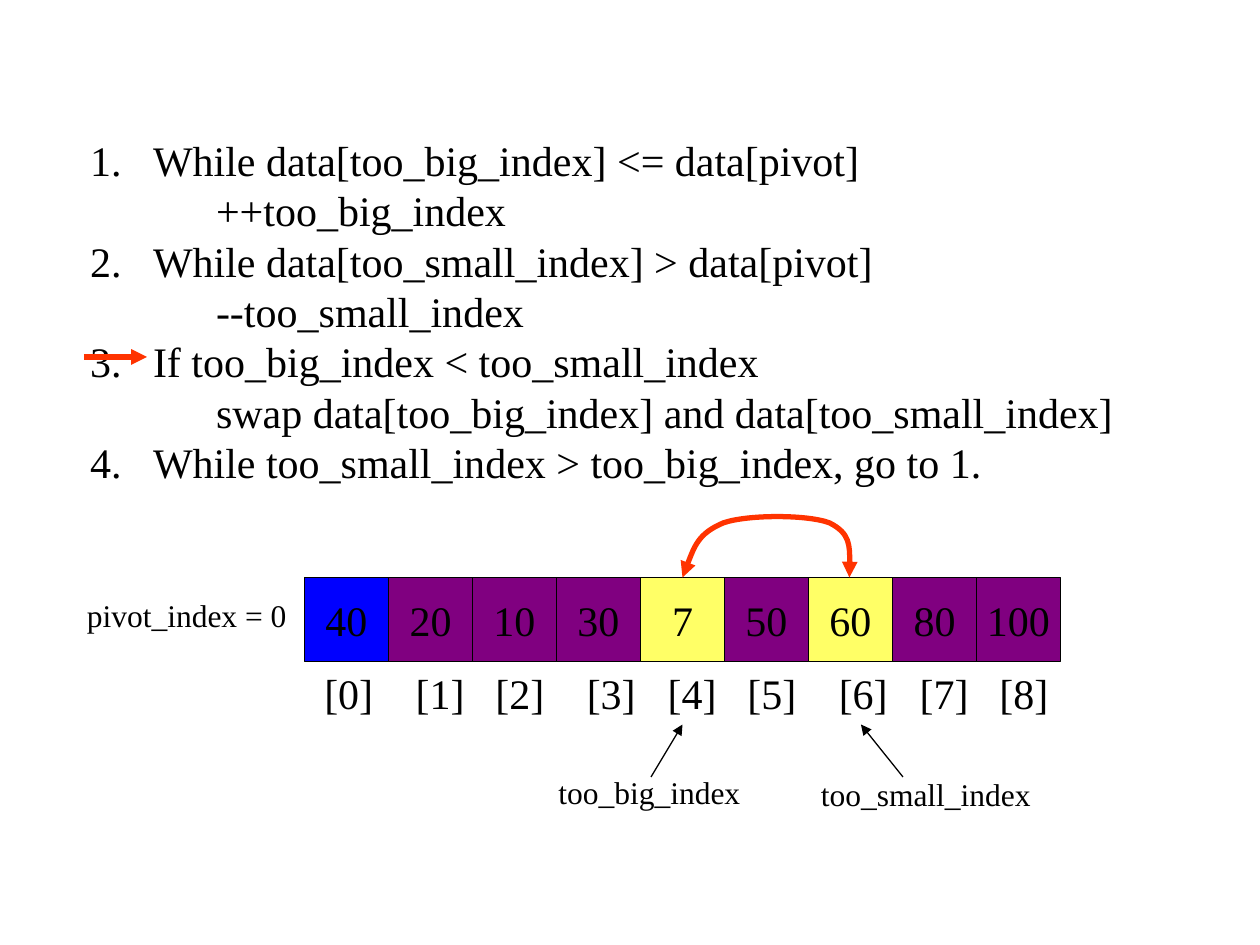
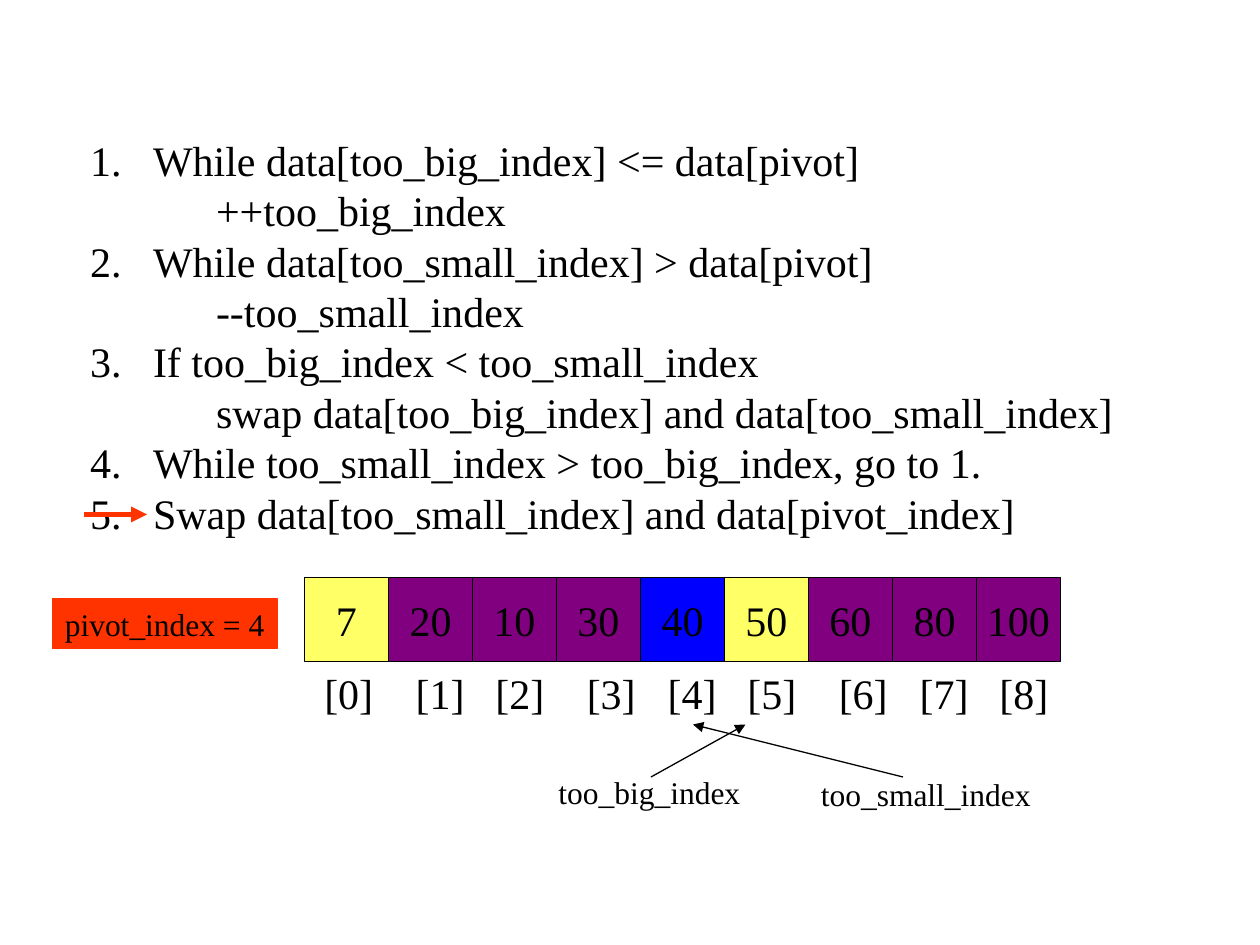
from lxml import etree
from pptx import Presentation
from pptx import util as u
from pptx.dml.color import RGBColor
from pptx.enum import shapes, text
from pptx.oxml import ns

SCALE = 7620  # EMU in one px, 120 px to the inch
BLACK, RED, BLUE = "000000", "FF3300", "0000FF"
PURPLE, YELLOW = "800080", "FFFF66"


def px(n):
    return u.Emu(n * SCALE)


def rgb(code):
    return RGBColor.from_string(code)


def sub(node, tag, **attrs):
    return etree.SubElement(node, ns.qn(tag), attrs)


class Deck:
    font = "Times New Roman"
    big, small = 24, 18

    def __init__(self):
        self.prs = Presentation()
        self.prs.slide_width, self.prs.slide_height = px(1200), px(900)

    def page(self):
        self.slide = self.prs.slides.add_slide(self.prs.slide_layouts[6])

    def run(self, para, words, size):
        run = para.add_run()
        run.text = words
        run.font.name, run.font.size = self.font, u.Pt(size)
        run.font.color.rgb = rgb(BLACK)

    def frame(self, shape, wrap):
        frame = shape.text_frame
        frame.word_wrap = wrap
        frame.auto_size = text.MSO_AUTO_SIZE.NONE
        frame.vertical_anchor = text.MSO_ANCHOR.TOP
        return frame

    def label(self, x, y, w, h, words, size, stops=()):
        box = self.slide.shapes.add_textbox(px(x), px(y), px(w), px(h))
        para = self.frame(box, False).paragraphs[0]
        if stops:
            tabs = sub(para._p.get_or_add_pPr(), "a:tabLst")
            for stop in stops:
                sub(tabs, "a:tab", pos=str(px(stop)), algn="l")
        self.run(para, words, size)

    def steps(self, x, y, w, h, items):
        box = self.slide.shapes.add_textbox(px(x), px(y), px(w), px(h))
        frame = self.frame(box, True)
        for num, lines in enumerate(items, 1):
            for level, words in enumerate(lines):
                first = num == 1 and level == 0
                para = frame.paragraphs[0] if first else frame.add_paragraph()
                para.level = level
                props = para._p.get_or_add_pPr()
                props.set("marL", str(px(120 if level else 60)))
                props.set("indent", str(px(0 if level else -60)))
                if level:
                    sub(props, "a:buNone")
                else:
                    sub(props, "a:buAutoNum", type="arabicPeriod", startAt=str(num))
                self.run(para, words, self.big)

    def rect(self, x, y, w, h, fill, words, size, edge=BLACK, center=True):
        box = self.slide.shapes.add_shape(
            shapes.MSO_SHAPE.RECTANGLE, px(x), px(y), px(w), px(h))
        box.shadow.inherit = False
        box.fill.solid()
        box.fill.fore_color.rgb = rgb(fill)
        self.stroke(box.line, edge, 0.75)
        frame = self.frame(box, False)
        para = frame.paragraphs[0]
        para.alignment = text.PP_ALIGN.LEFT
        if center:
            frame.vertical_anchor = text.MSO_ANCHOR.MIDDLE
            para.alignment = text.PP_ALIGN.CENTER
        self.run(para, words, size)

    def stroke(self, line, color, width, *ends):
        line.color.rgb, line.width = rgb(color), u.Pt(width)
        for end in ends:
            sub(line._get_or_add_ln(), end, type="triangle")

    def arrow(self, start, end, color=BLACK, width=0.75):
        line = self.slide.shapes.add_connector(
            shapes.MSO_CONNECTOR.STRAIGHT, *map(px, start + end))
        self.stroke(line.line, color, width, "a:tailEnd")
        sub(line._element.spPr, "a:effectLst")

    def curve(self, start, points):
        pen = self.slide.shapes.build_freeform(*start, scale=SCALE)
        pen.add_line_segments(points, close=False)
        shape = pen.convert_to_shape()
        shape.shadow.inherit = False
        shape.fill.background()
        self.stroke(shape.line, RED, 3, "a:headEnd", "a:tailEnd")
        # Join each three straight segments into one cubic curve
        legs = list(shape._element.iter(ns.qn("a:lnTo")))
        for i in range(0, len(legs), 3):
            bend = sub(legs[i].getparent(), "a:cubicBezTo")
            for leg in legs[i:i + 3]:
                bend.append(leg[0])
                leg.getparent().remove(leg)


STEPS = [
    ("While data[too_big_index] <= data[pivot]", "++too_big_index"),
    ("While data[too_small_index] > data[pivot]", "--too_small_index"),
    ("If too_big_index < too_small_index",
     "swap data[too_big_index] and data[too_small_index]"),
    ("While too_small_index > too_big_index, go to 1.",),
]
LAST = ("Swap data[too_small_index] and data[pivot_index]",)
STOPS = (87, 163, 250, 327, 403, 490, 567, 643)
LEFT, TOP, CELL = 290, 550, 80


def array(deck, data, pivot, marks):
    for i, value in enumerate(data):
        fill = BLUE if i == pivot else YELLOW if i in marks else PURPLE
        deck.rect(LEFT + i * CELL, TOP, CELL, CELL, fill, str(value), deck.big)
    names = "\t".join(f"[{i}]" for i in range(len(data)))
    deck.label(297, 630, 714, 60, names, deck.big, STOPS)


def marks(deck, large, little, step):
    deck.label(520, 730, 380, 48, "too_big_index", deck.small)
    deck.label(770, 732, 280, 48, "too_small_index", deck.small)
    deck.arrow((860, 740), (little, 690))
    deck.arrow((620, 740), (large, 690))
    deck.arrow((80, step), (140, step), RED, 3)


def main():
    deck = Deck()

    # Step 3: swap the two marked values
    deck.page()
    deck.steps(74, 122, 1118, 492, STEPS)
    array(deck, (40, 20, 10, 30, 7, 50, 60, 80, 100), 0, (4, 6))
    deck.label(71, 562, 214, 48, "pivot_index = 0", deck.small)
    marks(deck, 650, 820, 340)
    deck.curve((650, 550), [
        (658, 528), (665, 508), (689, 498),
        (712, 490), (769, 490), (790, 498),
        (810, 508), (810, 528), (809, 550)])

    # Step 5: the pivot moves to its place
    deck.page()
    deck.steps(74, 122, 1118, 540, STEPS + [LAST])
    array(deck, (7, 20, 10, 30, 40, 50, 60, 80, 100), 4, (0, 5))
    deck.rect(50, 570, 214, 48, RED, "pivot_index = 4", deck.small, RED, False)
    marks(deck, 710, 660, 490)

    deck.prs.save("out.pptx")


if __name__ == "__main__":
    main()
